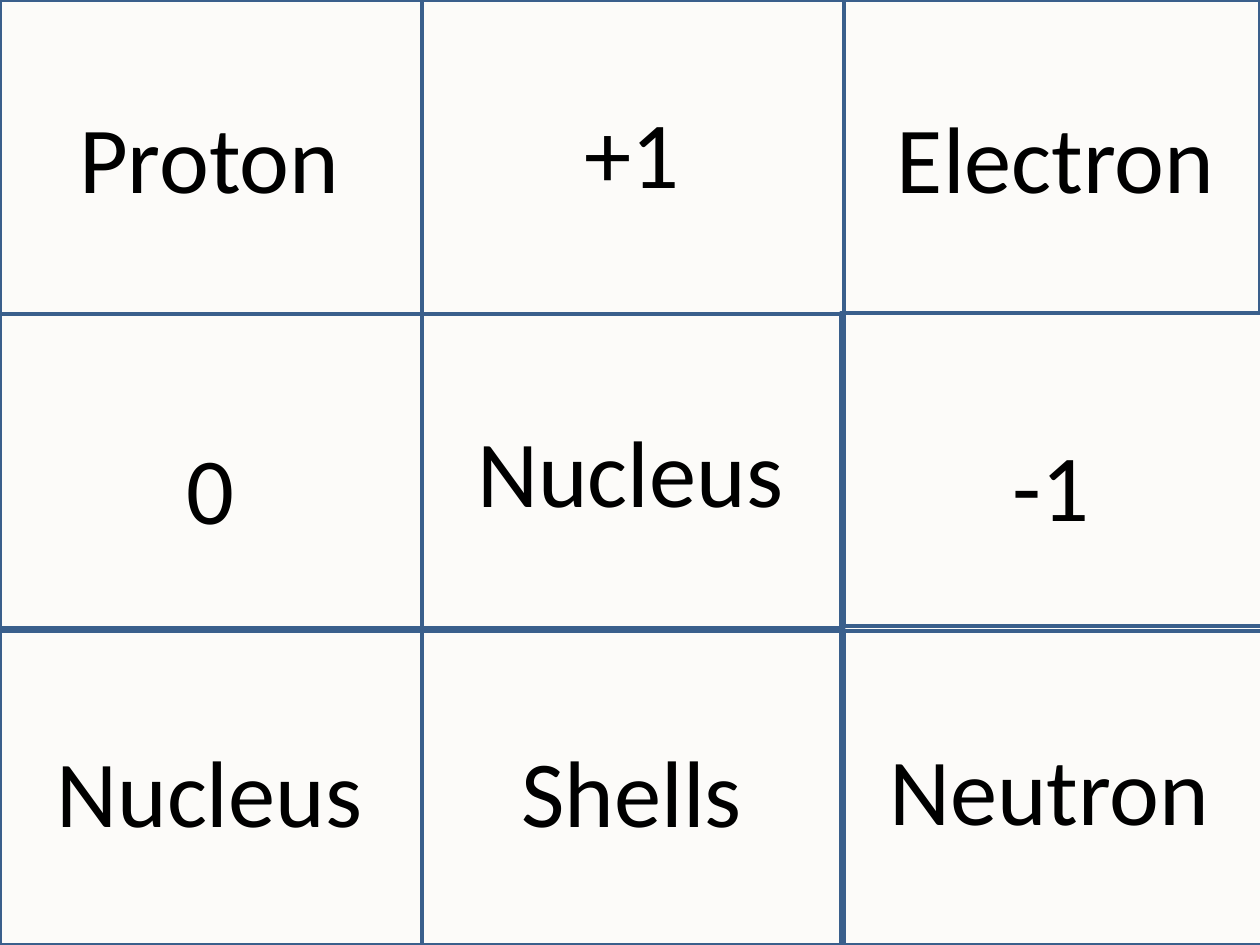
import pptx
import pptx.dml.color
import pptx.enum.shapes
import pptx.enum.text
import pptx.util

Inches = pptx.util.Inches
CARD_WIDTH = 3.35
CARD_HEIGHT = 2.49
LABEL_HEIGHT = 1.01
LABEL_FORMAT = {"name": "Calibri", "size": pptx.util.Pt(54)}
FRAME_FORMAT = {
    "word_wrap": False,
    "auto_size": pptx.enum.text.MSO_AUTO_SIZE.SHAPE_TO_FIT_TEXT,
}

CARDS = [
    (0, 0, CARD_WIDTH),
    (CARD_WIDTH, 0, CARD_WIDTH),
    (2 * CARD_WIDTH, 0, 3.3),
    (0, 2.49, CARD_WIDTH),
    (0, 5.01, CARD_WIDTH),
    (CARD_WIDTH, 2.49, CARD_WIDTH),
    (6.67, 2.48, CARD_WIDTH),
    (CARD_WIDTH, 5.01, CARD_WIDTH),
    (6.67, 5.01, CARD_WIDTH),
]

LABELS = [
    ("Proton", 0.53, 0.74, 2.29),
    ("Nucleus", 3.69, 3.23, 2.65),
    ("Electron", 7.02, 0.74, 2.75),
    ("Neutron", 6.96, 5.75, 2.77),
    ("Nucleus", 0.35, 5.77, 2.65),
    ("0", 1.38, 3.36, 0.59),
    ("+1", 4.54, 0.7, 0.96),
    ("-1", 7.94, 3.34, 0.82),
    ("Shells", 4.04, 5.77, 1.97),
]


def paint(color_format, value):
    color_format.rgb = pptx.dml.color.RGBColor.from_string(value)


def apply_format(target, values):
    for name, value in values.items():
        setattr(target, name, value)


def set_background(page, value):
    fill = page.background.fill
    fill.solid()
    paint(fill.fore_color, value)


def add_card(page, left, top, width):
    card = page.shapes.add_shape(
        pptx.enum.shapes.MSO_SHAPE.RECTANGLE,
        Inches(left), Inches(top), Inches(width), Inches(CARD_HEIGHT),
    )
    card.shadow.inherit = False
    card.fill.background()
    paint(card.line.color, "3A5F8C")
    card.line.width = pptx.util.Pt(2)


def add_label(page, text, left, top, width):
    box = page.shapes.add_textbox(
        Inches(left), Inches(top), Inches(width), Inches(LABEL_HEIGHT)
    )
    apply_format(box.text_frame, FRAME_FORMAT)
    span = box.text_frame.paragraphs[0].add_run()
    span.text = text
    apply_format(span.font, LABEL_FORMAT)
    paint(span.font.color, "000000")


def main():
    deck = pptx.Presentation()
    deck.slide_width = Inches(10)
    deck.slide_height = Inches(7.5)
    page = deck.slides.add_slide(deck.slide_layouts[6])
    set_background(page, "FCFBF9")
    for card in CARDS:
        add_card(page, *card)
    for label in LABELS:
        add_label(page, *label)
    deck.save("out.pptx")


if __name__ == "__main__":
    main()
